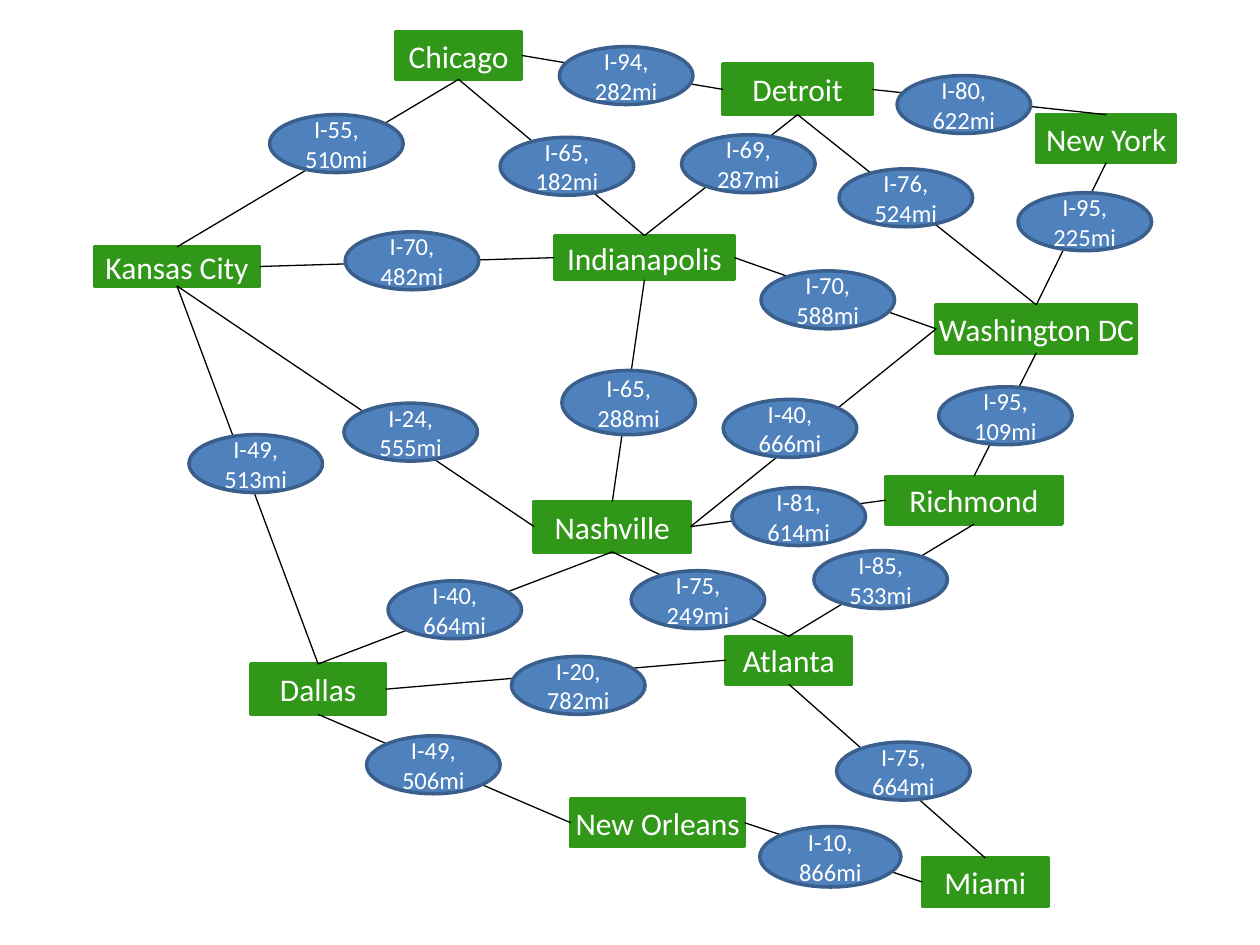
import pptx
import pptx.util
import pptx.dml.color
import pptx.enum.shapes
import pptx.enum.text
import pptx.oxml.ns
import lxml.etree

COLS, ROWS = 1000, 750
TOP, LEFT, BASE, RIGHT = range(4)
KIND = pptx.enum.shapes.MSO_SHAPE

CITIES = {
    "Chicago": (314, 25, 100, 38),
    "Detroit": (574, 51, 118, 40),
    "New York": (823, 91, 110, 38),
    "Kansas City": (75, 196, 131, 31),
    "Indianapolis": (440, 187, 143, 35),
    "Washington DC": (743, 242, 159, 38),
    "Richmond": (703, 378, 140, 38),
    "Nashville": (424, 398, 124, 40),
    "Atlanta": (576, 505, 100, 38),
    "Dallas": (199, 527, 107, 40),
    "New Orleans": (453, 634, 138, 38),
    "Miami": (732, 681, 100, 38),
}

SIGN = (106, 46)
ROADS = [
    ("Chicago", RIGHT, "Detroit", LEFT, "I-94, 282mi", (444, 37), SIGN),
    ("Kansas City", TOP, "Chicago", BASE, "I-55, 510mi", (214, 91), SIGN),
    ("Indianapolis", TOP, "Chicago", BASE, "I-65, 182mi", (397, 109), SIGN),
    ("Indianapolis", LEFT, "Kansas City", RIGHT, "I-70, 482mi", (274, 184), SIGN),
    ("Dallas", TOP, "Kansas City", BASE, "I-49, 513mi", (150, 345), SIGN),
    ("Nashville", LEFT, "Kansas City", BASE, "I-24, 555mi", (273, 320), SIGN),
    ("Nashville", BASE, "Dallas", TOP, "I-40, 664mi", (308, 461), SIGN),
    ("Nashville", TOP, "Indianapolis", BASE, "I-65, 288mi", (446, 294), (106, 51)),
    ("Indianapolis", TOP, "Detroit", BASE, "I-69, 287mi", (541, 107), SIGN),
    ("Washington DC", LEFT, "Indianapolis", RIGHT, "I-70, 588mi", (604, 215), SIGN),
    ("Nashville", RIGHT, "Washington DC", LEFT, "I-40, 666mi", (574, 317), SIGN),
    ("Washington DC", BASE, "Richmond", TOP, "I-95, 109mi", (745, 307), SIGN),
    ("New York", BASE, "Washington DC", TOP, "I-95, 225mi", (808, 153), SIGN),
    ("Richmond", BASE, "Atlanta", TOP, "I-85, 533mi", (646, 437), SIGN),
    ("Atlanta", TOP, "Nashville", BASE, "I-75, 249mi", (501, 453), SIGN),
    ("Atlanta", BASE, "Miami", TOP, "I-75, 664mi", (664, 589), SIGN),
    ("Atlanta", LEFT, "Dallas", RIGHT, "I-20, 782mi", (406, 521), SIGN),
    ("Dallas", BASE, "New Orleans", LEFT, "I-49, 506mi", (291, 584), SIGN),
    ("New Orleans", RIGHT, "Miami", LEFT, "I-10, 866mi", (603, 656), (112, 48)),
    ("New York", TOP, "Detroit", RIGHT, "I-80, 622mi", (712, 60), SIGN),
    ("Washington DC", TOP, "Detroit", BASE, "I-76, 524mi", (666, 134), SIGN),
    ("Nashville", RIGHT, "Richmond", LEFT, "I-81, 614mi", (581, 387), SIGN),
]


def paint(part, shade):
    """Give a fill, line or font one solid colour."""
    fill = part.fill
    fill.solid()
    fill.fore_color.rgb = pptx.dml.color.RGBColor.from_string(shade)


def node(slide, box, cell, kind, text, size, shades, inset):
    """Draw one labelled shape on the grid of the box."""
    left, top, wide, high = box
    col, row = wide / COLS, high / ROWS
    x, y, w, h = cell
    shape = slide.shapes.add_shape(
        kind, round(left + x * col), round(top + y * row),
        round(w * col), round(h * row))
    shape.shadow.inherit = False
    paint(shape, shades[0])
    paint(shape.line, shades[1])
    shape.line.width = pptx.util.Pt(2)
    frame = shape.text_frame
    frame.word_wrap = True
    frame.vertical_anchor = pptx.enum.text.MSO_ANCHOR.MIDDLE
    frame.margin_left = frame.margin_right = 0
    frame.margin_top = frame.margin_bottom = round(inset * row)
    frame.text = text
    para = frame.paragraphs[0]
    para.alignment = pptx.enum.text.PP_ALIGN.CENTER
    para.font.name = "Calibri"
    para.font.size = pptx.util.Pt(size)
    paint(para.font, "FFFFFF")
    return shape


def link(slide, start, side, end, face):
    """Join two cities with a thin line glued to their sides."""
    line = slide.shapes.add_connector(
        pptx.enum.shapes.MSO_CONNECTOR.STRAIGHT, 0, 0, 0, 0)
    line.begin_connect(start, side)
    line.end_connect(end, face)
    paint(line.line, "000000")
    line.line.width = pptx.util.Pt(0.75)
    lxml.etree.SubElement(line._element.spPr, pptx.oxml.ns.qn("a:effectLst"))


def road_map(slide, box):
    """Draw the cities, the roads between them and the road signs."""
    towns = {name: node(slide, box, cell, KIND.RECTANGLE, name, 18,
                        ("319719", "319719"), 5)
             for name, cell in CITIES.items()}
    for start, side, end, face, *_ in ROADS:
        link(slide, towns[start], side, towns[end], face)
    for *_, text, spot, size in ROADS:
        node(slide, box, spot + size, KIND.OVAL, text, 14,
             ("4F81BD", "3A5F8C"), 0)


deck = pptx.Presentation()
deck.slide_width = pptx.util.Inches(10)
deck.slide_height = pptx.util.Inches(7.5)
page = deck.slides.add_slide(deck.slide_layouts[6])
road_map(page, (0, 0, deck.slide_width, deck.slide_height))
deck.save("out.pptx")
